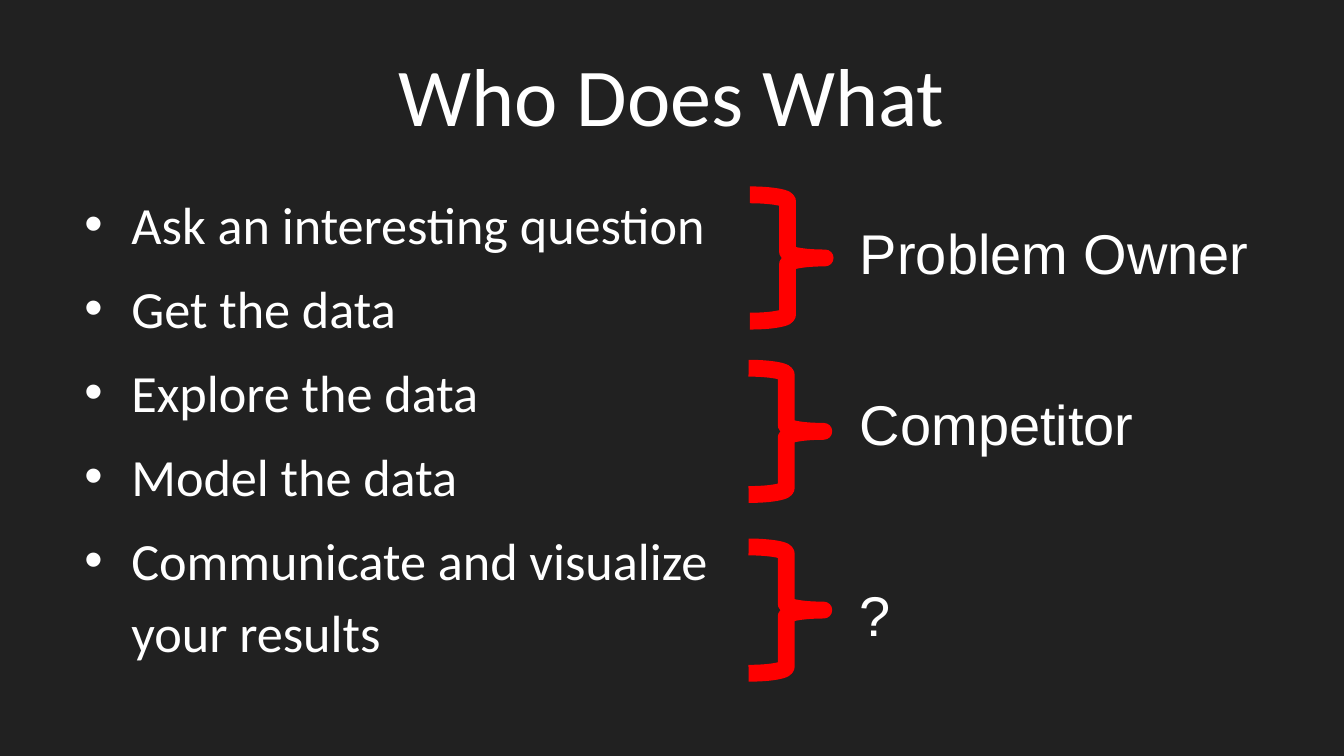
from lxml import etree
from pptx import Presentation
from pptx.dml.color import RGBColor
from pptx.enum.shapes import MSO_SHAPE as Shape
from pptx.enum.text import MSO_ANCHOR as Anchor, PP_ALIGN as Align
from pptx.oxml.ns import qn
from pptx.util import Inches, Pt


def color(code):
    return RGBColor.from_string(code)


def add_text(box, lines, size, face, pad=0.05):
    """Add a text box with one paragraph per line, bulleted if several."""
    frame = slide.shapes.add_textbox(*map(Inches, box)).text_frame
    frame.word_wrap = True
    frame.margin_top = frame.margin_bottom = Inches(pad)
    frame.text = "\n".join(lines)
    for para in frame.paragraphs:
        if len(lines) > 1:
            props = para._p.get_or_add_pPr()
            props.set("marL", str(Inches(0.38)))
            props.set("indent", str(Inches(-0.35)))
            tint = etree.SubElement(props, qn("a:buClr"))
            etree.SubElement(tint, qn("a:srgbClr"), val="FFFFFF")
            etree.SubElement(props, qn("a:buFont"), typeface="Arial")
            etree.SubElement(props, qn("a:buChar"), char="•")
        para.font.size = Pt(size)
        para.font.name = face
        para.font.color.rgb = color("FFFFFF")
    return frame


deck = Presentation()
deck.slide_width = Inches(10)
deck.slide_height = Inches(10 * 9 / 16)
slide = deck.slides.add_slide(deck.slide_layouts[6])
slide.background.fill.solid()
slide.background.fill.fore_color.rgb = color("212121")

title = add_text((0.5, 0.23, 9, 0.94), ["Who Does What"], 44, "Calibri")
title.vertical_anchor = Anchor.MIDDLE
title.paragraphs[0].alignment = Align.CENTER

steps = [
    "Ask an interesting question",
    "Get the data",
    "Explore the data",
    "Model the data",
    "Communicate and visualize your results",
]
body = add_text((0.5, 1.31, 5.56, 3.71), steps, 28, "Calibri")
for i, para in enumerate(body.paragraphs):
    para.line_spacing = 1.15
    if i:
        para.space_before = Pt(6.4)

# Role, left and top of its brace, top and width of its label
roles = [
    ("Problem Owner", 5.58, 1.45, 1.53, 3.31),
    ("Competitor", 5.57, 2.74, 2.8, 2.67),
    ("?", 5.57, 4.07, 4.22, 2.67),
]
for role, left, top, label_top, width in roles:
    brace = slide.shapes.add_shape(
        Shape.RIGHT_BRACE, Inches(left), Inches(top), Inches(0.56), Inches(0.94)
    )
    brace.shadow.inherit = False
    brace.fill.background()
    brace.line.color.rgb = color("FF0000")
    brace.line.width = Pt(9)
    add_text((6.3, label_top, width, 0.64), [role], 30, "Arial", pad=0.1)

deck.save("out.pptx")
